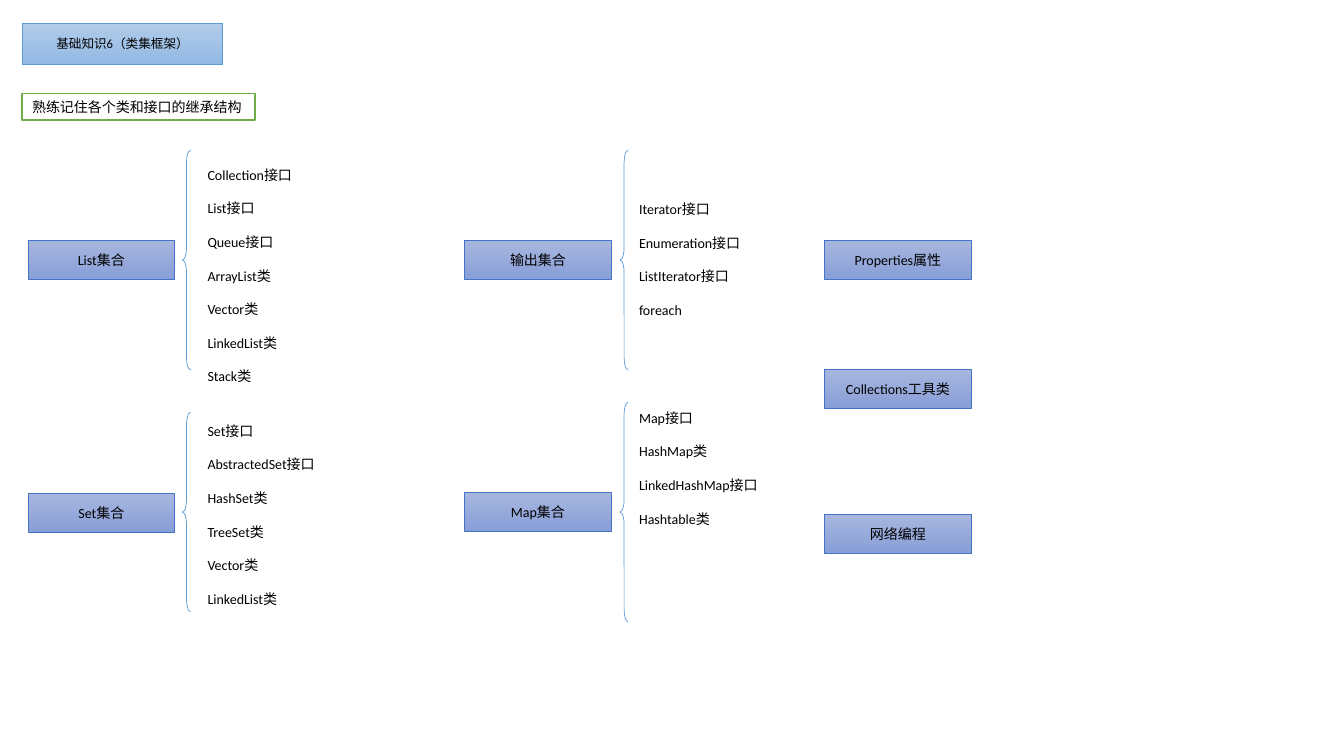
import pptx
import pptx.util
import pptx.dml.color
import pptx.enum.shapes
import pptx.enum.text

Inches = pptx.util.Inches
Pt = pptx.util.Pt
RGBColor = pptx.dml.color.RGBColor
MSO_SHAPE = pptx.enum.shapes.MSO_SHAPE
PP_ALIGN = pptx.enum.text.PP_ALIGN
MSO_ANCHOR = pptx.enum.text.MSO_ANCHOR

BLACK = RGBColor(0x00, 0x00, 0x00)
WHITE = RGBColor(0xFF, 0xFF, 0xFF)
LIGHT_BLUE = RGBColor(0x5B, 0x9B, 0xD5)
BLUE = RGBColor(0x44, 0x72, 0xC4)
GREEN = RGBColor(0x70, 0xAD, 0x47)
TITLE_FILL = (RGBColor(0xB1, 0xCB, 0xE9), RGBColor(0x93, 0xB9, 0xE4))
TOPIC_FILL = (RGBColor(0xA8, 0xB7, 0xDF), RGBColor(0x88, 0x9E, 0xD7))

TOPIC_W, TOPIC_H = 1.45, 0.39

GROUPS = [
    ("List集合", (0.28, 2.38), (1.81, 1.49, 0.08, 2.18), (1.96, 1.6, 1.29, 2.29),
     ["Collection接口", "List接口", "Queue接口", "ArrayList类", "Vector类",
      "LinkedList类", "Stack类"]),
    ("Set集合", (0.28, 4.89), (1.81, 4.09, 0.08, 1.98), (1.96, 4.14, 1.69, 1.95),
     ["Set接口", "AbstractedSet接口", "HashSet类", "TreeSet类", "Vector类",
      "LinkedList类"]),
    ("输出集合", (4.61, 2.38), (6.15, 1.49, 0.08, 2.18), (6.24, 1.94, 1.54, 1.28),
     ["Iterator接口", "Enumeration接口", "ListIterator接口", "foreach"]),
    ("Map集合", (4.61, 4.88), (6.15, 3.99, 0.08, 2.18), (6.24, 4.01, 1.81, 1.61),
     ["Map接口", "HashMap类", "LinkedHashMap接口", "Hashtable类"]),
]
SINGLES = [("Properties属性", 2.38), ("Collections工具类", 3.66), ("网络编程", 5.1)]


def write(tf, lines, size=10, align=PP_ALIGN.LEFT, anchor=MSO_ANCHOR.TOP, gap=0):
    """Write one paragraph per line, with a gap in points between them."""
    tf.word_wrap = True
    tf.vertical_anchor = anchor
    for i, line in enumerate(lines):
        p = tf.paragraphs[0] if i == 0 else tf.add_paragraph()
        p.alignment = align
        p.space_before = Pt(gap if i else 0)
        r = p.add_run()
        r.text = line
        r.font.size = Pt(size)
        r.font.name = "Calibri"
        r.font.color.rgb = BLACK


def add_shape(s, kind, box, line, width=0.5):
    """Add a preset shape without shadow."""
    sp = s.shapes.add_shape(kind, *map(Inches, box))
    sp.shadow.inherit = False
    sp.line.color.rgb = line
    sp.line.width = Pt(width)
    return sp


def add_label(s, text, box, colors, line, size=10):
    """Add a centred label with a vertical gradient."""
    sp = add_shape(s, MSO_SHAPE.RECTANGLE, box, line)
    sp.fill.gradient()
    sp.fill.gradient_angle = 270
    for stop, color in zip(sp.fill.gradient_stops, colors):
        stop.color.rgb = color
    write(sp.text_frame, [text], size, PP_ALIGN.CENTER, MSO_ANCHOR.MIDDLE)


def add_topic(s, text, left, top):
    """Add a topic label of the common size."""
    add_label(s, text, (left, top, TOPIC_W, TOPIC_H), TOPIC_FILL, BLUE)


def add_header(s, left, top):
    """Add the title and the framed task under it."""
    add_label(s, "基础知识6（类集框架）", (left, top, 1.99, 0.41), TITLE_FILL, LIGHT_BLUE, 9)
    sp = add_shape(s, MSO_SHAPE.RECTANGLE, (left, top + 0.7, 2.31, 0.26), GREEN, 1)
    sp.fill.solid()
    sp.fill.fore_color.rgb = WHITE
    write(sp.text_frame, ["熟练记住各个类和接口的继承结构"], anchor=MSO_ANCHOR.MIDDLE)


def add_group(s, topic, corner, brace_box, list_box, members):
    """Add a topic, its brace and the list of its members."""
    add_topic(s, topic, *corner)
    brace = add_shape(s, MSO_SHAPE.LEFT_BRACE, brace_box, LIGHT_BLUE)
    brace.fill.background()
    brace.adjustments[0] = 1.555
    tb = s.shapes.add_textbox(*map(Inches, list_box))
    write(tb.text_frame, members, gap=12)


def main():
    """Build the slide and save it."""
    prs = pptx.Presentation()
    prs.slide_width, prs.slide_height = Inches(13.33), Inches(7.5)
    s = prs.slides.add_slide(prs.slide_layouts[6])
    add_header(s, 0.22, 0.23)
    for group in GROUPS:
        add_group(s, *group)
    for text, top in SINGLES:
        add_topic(s, text, 8.18, top)
    prs.save("out.pptx")


main()
